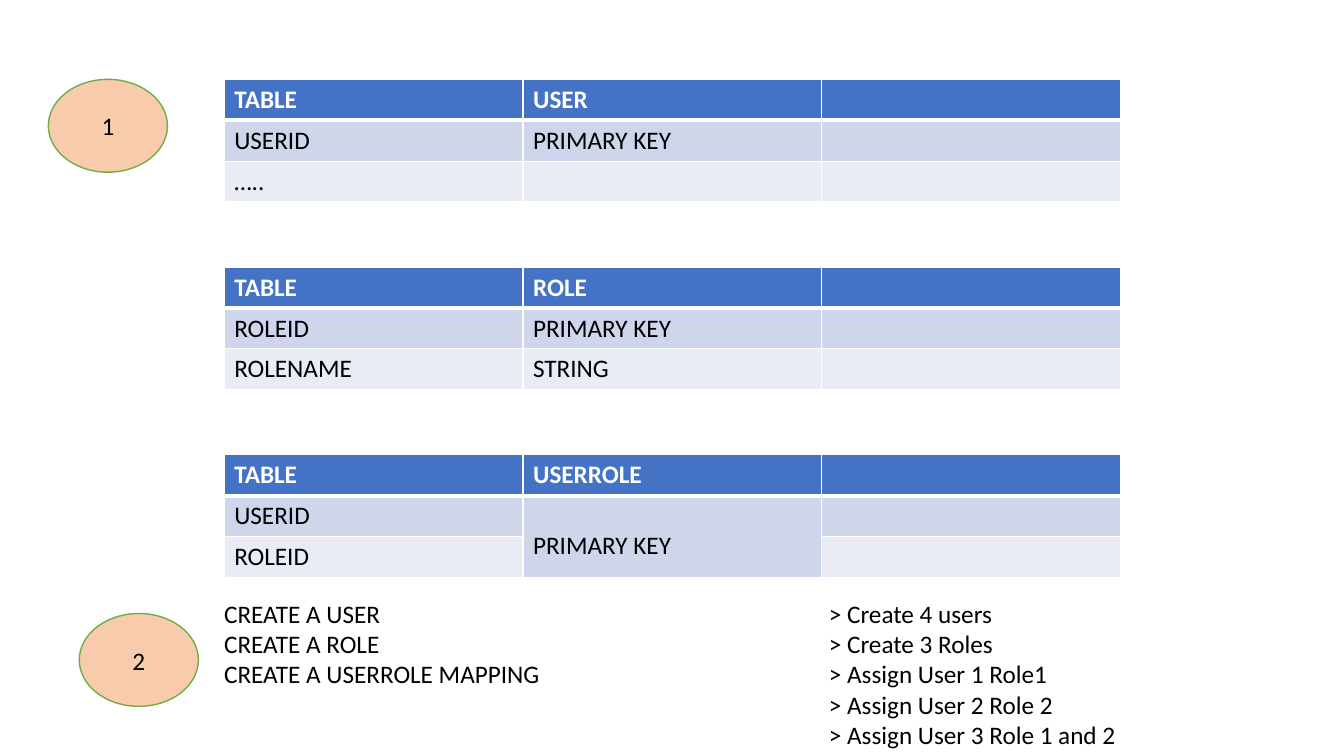
from lxml import etree
from pptx import Presentation
from pptx.dml.color import RGBColor
from pptx.enum.shapes import MSO_SHAPE
from pptx.enum.text import MSO_ANCHOR, PP_ALIGN
from pptx.oxml.ns import qn
from pptx.util import Cm, Pt

OVAL = MSO_SHAPE.OVAL
MIDDLE = MSO_ANCHOR.MIDDLE
LEFT, CENTER = PP_ALIGN.LEFT, PP_ALIGN.CENTER

COLORS = {
    "header": "4472C4",
    "band_dark": "CFD5EA",
    "band_light": "E9EBF5",
    "white": "FFFFFF",
    "black": "000000",
    "peach": "F8CBAD",
    "green": "70AD47",
}
ROW_FILLS = ["header", "band_dark", "band_light"]

TABLES = [
    [("TABLE", "USER", ""), ("USERID", "PRIMARY KEY", ""), ("…..", "", "")],
    [("TABLE", "ROLE", ""), ("ROLEID", "PRIMARY KEY", ""), ("ROLENAME", "STRING", "")],
    [("TABLE", "USERROLE", ""), ("USERID", "PRIMARY KEY", ""), ("ROLEID", "", "")],
]
STEPS = [("1", 1.22, 2.0), ("2", 2.0, 15.46)]
TASKS = [
    ("CREATE A USER", "> Create 4 users"),
    ("CREATE A ROLE", "> Create 3 Roles"),
    ("CREATE A USERROLE MAPPING", "> Assign User 1 Role1"),
    ("", "> Assign User 2 Role 2"),
    ("", "> Assign User 3 Role 1 and 2"),
]

TABLE_LEFT, TABLE_TOP, TABLE_PITCH = 5.65, 2.0, 4.73
COLUMN_WIDTH, ROW_HEIGHT = 7.53, 1.03
TASK_TAB = 15.24


def color(name):
    return RGBColor.from_string(COLORS[name])


def write(para, text, tint="black", bold=False, align=LEFT):
    para.alignment = align
    span = para.add_run()
    span.text = text
    span.font.name = "Calibri"
    span.font.size = Pt(18)
    span.font.bold = bold
    span.font.color.rgb = color(tint)


def add_borders(cell, row):
    properties = cell._tc.get_or_add_tcPr()
    widths = {"lnL": 1, "lnR": 1, "lnT": 3 if row == 1 else 1, "lnB": 3 if row == 0 else 1}
    for side, width in widths.items():
        line = etree.SubElement(properties, qn(f"a:{side}"), w=str(Pt(width)))
        fill = etree.SubElement(line, qn("a:solidFill"))
        etree.SubElement(fill, qn("a:srgbClr"), val=COLORS["white"])


def add_key_table(page, rows, top):
    columns = len(rows[0])
    frame = page.shapes.add_table(
        len(rows), columns, Cm(TABLE_LEFT), Cm(top),
        Cm(columns * COLUMN_WIDTH), Cm(len(rows) * ROW_HEIGHT))
    table = frame.table
    for column in table.columns:
        column.width = Cm(COLUMN_WIDTH)
    for r, texts in enumerate(rows):
        table.rows[r].height = Cm(ROW_HEIGHT)
        for c, text in enumerate(texts):
            cell = table.cell(r, c)
            add_borders(cell, r)
            cell.fill.solid()
            cell.fill.fore_color.rgb = color(ROW_FILLS[r])
            if text:
                write(cell.text_frame.paragraphs[0], text,
                      tint="white" if r == 0 else "black", bold=r == 0)
    return table


def add_step(page, number, left, top):
    oval = page.shapes.add_shape(OVAL, Cm(left), Cm(top), Cm(3.0), Cm(2.34))
    oval.shadow.inherit = False
    oval.fill.solid()
    oval.fill.fore_color.rgb = color("peach")
    oval.line.color.rgb = color("green")
    oval.line.width = Pt(1)
    oval.text_frame.vertical_anchor = MIDDLE
    write(oval.text_frame.paragraphs[0], number, align=CENTER)


def add_tasks(page):
    box = page.shapes.add_textbox(Cm(5.4), Cm(14.95), Cm(25.5), Cm(4.1))
    frame = box.text_frame
    frame.word_wrap = True
    for index, task in enumerate(TASKS):
        para = frame.add_paragraph() if index else frame.paragraphs[0]
        write(para, "\t".join(task))
        tabs = etree.SubElement(para._p.get_or_add_pPr(), qn("a:tabLst"))
        etree.SubElement(tabs, qn("a:tab"), pos=str(Cm(TASK_TAB)), algn="l")


def main():
    deck = Presentation()
    deck.slide_width, deck.slide_height = Cm(33.87), Cm(19.05)
    page = deck.slides.add_slide(deck.slide_layouts[6])
    tables = [add_key_table(page, rows, TABLE_TOP + index * TABLE_PITCH)
              for index, rows in enumerate(TABLES)]
    shared_key = tables[-1].cell(1, 1)
    shared_key.merge(tables[-1].cell(2, 1))
    shared_key.margin_top = Cm(0.89)
    for step in STEPS:
        add_step(page, *step)
    add_tasks(page)
    deck.save("out.pptx")


if __name__ == "__main__":
    main()
